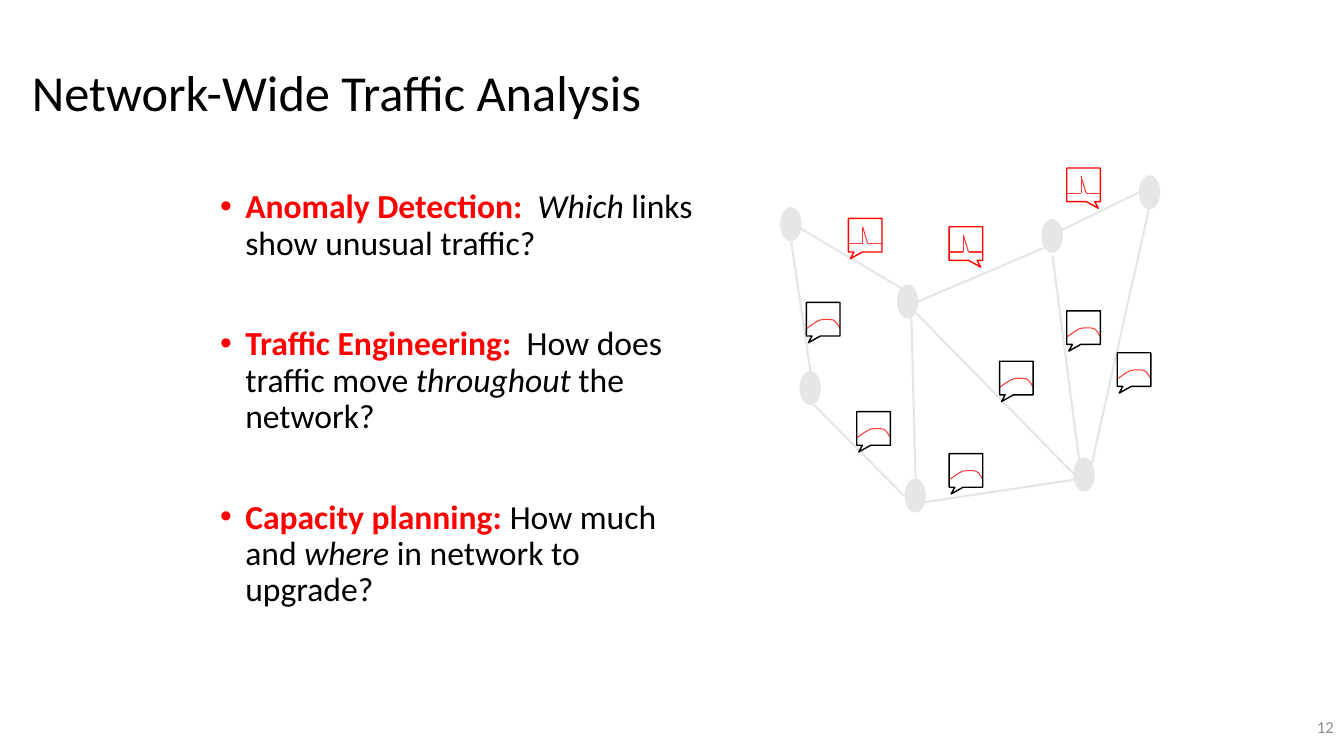
import dataclasses
import itertools

import lxml.etree
import pptx
import pptx.dml.color
import pptx.enum.shapes
import pptx.enum.text
import pptx.oxml.ns
import pptx.util

EMU_PER_PX = 7620  # 120 px to the inch


@dataclasses.dataclass(frozen=True)
class Theme:
    font: str = "Calibri"
    ink: str = "000000"
    accent: str = "FF0000"
    network: str = "E7E6E6"
    paper: str = "FFFFFF"
    muted: str = "8C8C8C"
    title_size: int = 36
    body_size: int = 24
    number_size: int = 12
    network_line: float = 1.5
    callout_line: float = 1
    chart_line: float = 0.75


THEME = Theme()

TOPICS = [
    [("Anomaly Detection:  ", "label"), ("Which", "stress"),
     (" links show unusual traffic?", "plain")],
    [("Traffic Engineering:", "label"), ("  How does traffic move ", "plain"),
     ("throughout", "stress"), (" the network?", "plain")],
    [("Capacity planning:", "label"), (" How much and ", "plain"),
     ("where", "stress"), (" in network to upgrade?", "plain")],
]
RUN_FORMATS = {
    "label": {"color": THEME.accent, "bold": True},
    "stress": {"italic": True},
    "plain": {},
}

LINKS = [
    (942, 288, 965, 443), (968, 481, 1076, 590), (1073, 343, 953, 272),
    (1243, 295, 1093, 359), (1368, 248, 1300, 551), (1085, 376, 1090, 570),
    (1090, 372, 1279, 565), (1262, 275, 1356, 229), (1253, 304, 1286, 558),
    (1100, 598, 1279, 571),
]
NODES = [(930, 248), (1069, 340), (1241, 262), (1357, 210),
         (953, 443), (1078, 571), (1279, 546)]
NODE_SIZE = (23, 38)

CALLOUT_SIDE = 40
TAIL_X, TAIL_Y = 0.44, 0.7
SPIKES = [(1010, 260, -1), (1270, 200, 1), (1130, 270, 1)]  # left, top, tail side
NORMAL_LOADS = [(960, 360), (1130, 540), (1270, 370),
                (1190, 430), (1020, 490), (1330, 420)]
SPIKE_POINTS = [(0, 30), (17, 30), (17, 10), (23, 30), (40, 30)]
LOAD_START = (0, 31)
LOAD_CONTROLS = [(5, 28), (11, 23), (16, 21), (21, 20), (28, 20), (32, 21),
                 (36, 23), (38, 28), (40, 31)]  # three per curve


def px(*lengths):
    return [pptx.util.Emu(length * EMU_PER_PX) for length in lengths]


def rgb(color):
    return pptx.dml.color.RGBColor.from_string(color)


def add_run(paragraph, text, size, color=THEME.ink, bold=False, italic=False):
    run = paragraph.add_run()
    run.text = text
    run.font.name = THEME.font
    run.font.size = pptx.util.Pt(size)
    run.font.bold = bold
    run.font.italic = italic
    run.font.color.rgb = rgb(color)


def bend(freeform):
    """Turn every three straight segments into one cubic curve."""
    qn = pptx.oxml.ns.qn
    segments = list(freeform._element.iter(qn("a:lnTo")))
    for first, second, third in zip(*[iter(segments)] * 3):
        curve = lxml.etree.Element(qn("a:cubicBezTo"))
        first.addprevious(curve)
        for segment in (first, second, third):
            curve.append(segment[0])
            segment.getparent().remove(segment)


class SlideBuilder:
    def __init__(self, slide, theme):
        self.slide = slide
        self.shapes = slide.shapes
        self.theme = theme

    def start_group(self):
        """Send the shapes that follow into a new group."""
        self.shapes = self.slide.shapes.add_group_shape().shapes

    def place(self, shape, *box):
        shape.left, shape.top, shape.width, shape.height = px(*box)

    def outline(self, shape, color, width):
        shape.line.color.rgb = rgb(color)
        shape.line.width = pptx.util.Pt(width)

    def frame(self, shape, anchor):
        text_frame = shape.text_frame
        text_frame.word_wrap = True
        text_frame.auto_size = pptx.enum.text.MSO_AUTO_SIZE.NONE
        text_frame.vertical_anchor = anchor
        return text_frame

    def title(self, text, *box):
        shape = self.slide.shapes.title
        self.place(shape, *box)
        text_frame = self.frame(shape, pptx.enum.text.MSO_ANCHOR.MIDDLE)
        paragraph = text_frame.paragraphs[0]
        paragraph.alignment = pptx.enum.text.PP_ALIGN.LEFT
        paragraph.line_spacing = 0.9
        add_run(paragraph, text, self.theme.title_size)

    def bullets(self, items, *box):
        shape = self.slide.placeholders[1]
        self.place(shape, *box)
        text_frame = self.frame(shape, pptx.enum.text.MSO_ANCHOR.TOP)
        for index, item in enumerate(items):
            paragraph = text_frame.add_paragraph() if index else text_frame.paragraphs[0]
            paragraph.line_spacing = 0.9
            paragraph.space_before = pptx.util.Pt(46 if index else 10)
            indent = px(30)[0]
            properties = paragraph._p.get_or_add_pPr()
            properties.set("marL", str(indent))
            properties.set("indent", str(-indent))
            for text, kind in item:
                add_run(paragraph, text, self.theme.body_size, **RUN_FORMATS[kind])

    def page_number(self, text, *box):
        shape = self.shapes.add_textbox(*px(*box))
        paragraph = self.frame(shape, pptx.enum.text.MSO_ANCHOR.MIDDLE).paragraphs[0]
        paragraph.alignment = pptx.enum.text.PP_ALIGN.RIGHT
        add_run(paragraph, text, self.theme.number_size, color=self.theme.muted)

    def line(self, ends, color, width):
        connector = self.shapes.add_connector(
            pptx.enum.shapes.MSO_CONNECTOR.STRAIGHT, *px(*ends))
        self.outline(connector, color, width)
        lxml.etree.SubElement(connector._element.spPr,
                              pptx.oxml.ns.qn("a:effectLst"))

    def filled_shape(self, kind, box, fill, line, width):
        shape = self.shapes.add_shape(kind, *px(*box))
        shape.shadow.inherit = False
        shape.fill.solid()
        shape.fill.fore_color.rgb = rgb(fill)
        self.outline(shape, line, width)
        return shape

    def node(self, left, top):
        self.filled_shape(pptx.enum.shapes.MSO_SHAPE.OVAL, (left, top, *NODE_SIZE),
                          self.theme.network, self.theme.network, self.theme.network_line)

    def callout(self, left, top, color, tail_side):
        shape = self.filled_shape(
            pptx.enum.shapes.MSO_SHAPE.RECTANGULAR_CALLOUT,
            (left, top, CALLOUT_SIDE, CALLOUT_SIDE),
            self.theme.paper, color, self.theme.callout_line)
        shape.adjustments[0] = tail_side * TAIL_X
        shape.adjustments[1] = TAIL_Y
        paper = shape._element.spPr.find(".//" + pptx.oxml.ns.qn("a:srgbClr"))
        lxml.etree.SubElement(paper, pptx.oxml.ns.qn("a:alpha"), val="22000")

    def spike_callout(self, left, top, tail_side):
        self.start_group()
        for (x1, y1), (x2, y2) in itertools.pairwise(SPIKE_POINTS):
            self.line((left + x1, top + y1, left + x2, top + y2),
                      self.theme.accent, self.theme.chart_line)
        self.callout(left, top, self.theme.accent, tail_side)

    def load_callout(self, left, top):
        self.start_group()
        builder = self.shapes.build_freeform(
            left + LOAD_START[0], top + LOAD_START[1], scale=EMU_PER_PX)
        builder.add_line_segments([(left + x, top + y) for x, y in LOAD_CONTROLS],
                                  close=False)
        curve = builder.convert_to_shape()
        bend(curve)
        curve.shadow.inherit = False
        curve.fill.background()
        self.outline(curve, self.theme.accent, self.theme.chart_line)
        self.callout(left, top, self.theme.ink, -1)


def main():
    presentation = pptx.Presentation()
    presentation.slide_width, presentation.slide_height = px(1600, 900)
    slide = presentation.slides.add_slide(presentation.slide_layouts[1])
    builder = SlideBuilder(slide, THEME)
    builder.page_number("12", 1226, 850, 374, 30)
    builder.title("Network-Wide Traffic Analysis", 26, 38, 1534, 150)
    builder.bullets(TOPICS, 250, 220, 600, 610)
    builder.start_group()
    for link in LINKS:
        builder.line(link, THEME.network, THEME.network_line)
    for node in NODES:
        builder.node(*node)
    for spike in SPIKES:
        builder.spike_callout(*spike)
    for load in NORMAL_LOADS:
        builder.load_callout(*load)
    presentation.save("out.pptx")


if __name__ == "__main__":
    main()
